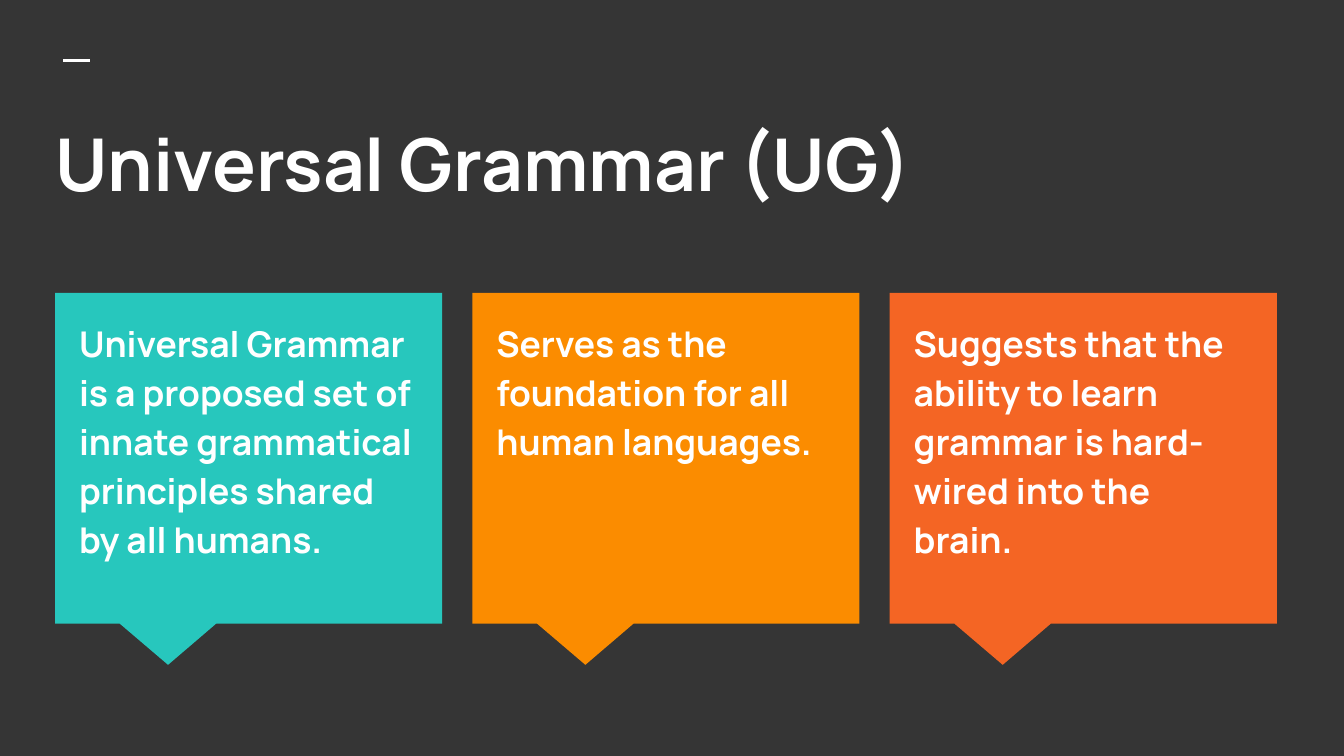
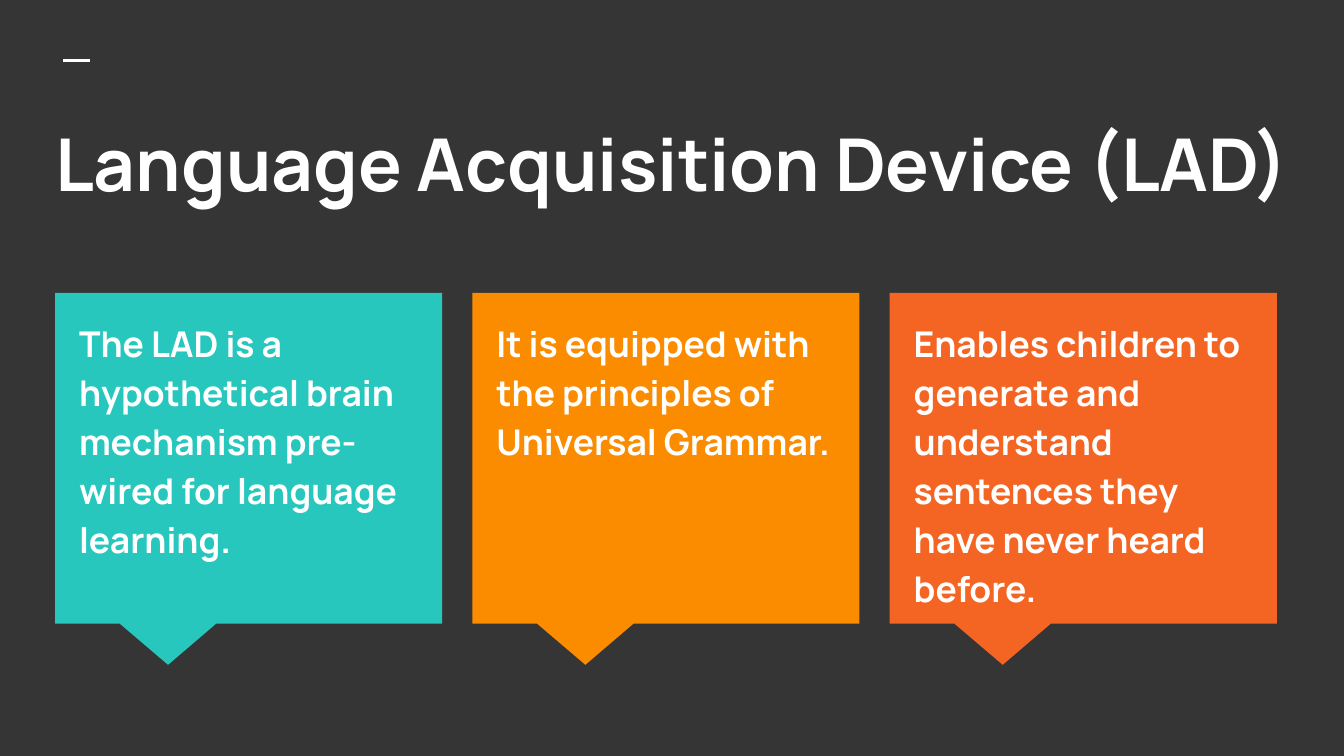
from lxml.etree import SubElement
from pptx import Presentation
from pptx.dml.color import RGBColor
from pptx.enum.shapes import MSO_CONNECTOR as CONN, MSO_SHAPE as SHAPE
from pptx.enum.text import MSO_ANCHOR as ANCHOR, MSO_AUTO_SIZE as FIT, PP_ALIGN as ALIGN
from pptx.oxml.ns import qn
from pptx.util import Inches, Pt

DARK = RGBColor(0x35, 0x35, 0x35)
WHITE = RGBColor(0xFF, 0xFF, 0xFF)
TEAL = RGBColor(0x27, 0xC7, 0xBD)
AMBER = RGBColor(0xFB, 0x8C, 0x00)
ORANGE = RGBColor(0xF4, 0x65, 0x24)
CARD_COLORS = (TEAL, AMBER, ORANGE)

WIDTH, HEIGHT = Inches(10), Inches(10) * 9 // 16
TITLE_BOX = (0.31, 0.78, 9.43, 1.12)
LEFT, RIGHT = 0.41, 9.5
CARD_TOP, CARD_W, CARD_H = 2.18, 2.88, 2.46
PITCH = (RIGHT - LEFT - CARD_W) / (len(CARD_COLORS) - 1)
PAD_X, PAD_Y, TEXT_H = 0.08, 0.07, 2.19
POINTER = (-0.208, 0.625)

FRAME = {"word_wrap": True, "auto_size": FIT.NONE, "vertical_anchor": ANCHOR.TOP}
FRAME.update({f"margin_{side}": Inches(0.1) for side in ("left", "top", "right", "bottom")})
FONT = {"name": "Manrope", "bold": True}
TITLE_PARA = {"alignment": ALIGN.LEFT, "line_spacing": 1.0}
CARD_PARA = {"alignment": ALIGN.LEFT, "line_spacing": 1.15}

SLIDES = (
    ("Universal Grammar (UG)", (
        "Universal Grammar is a proposed set of innate grammatical principles shared by all humans.",
        "Serves as the foundation for all human languages.",
        "Suggests that the ability to learn grammar is hard-wired into the brain.",
    )),
    ("Language Acquisition Device (LAD)", (
        "The LAD is a hypothetical brain mechanism pre-wired for language learning.",
        "It is equipped with the principles of Universal Grammar.",
        "Enables children to generate and understand sentences they have never heard before.",
    )),
)


def apply(target, values):
    """Set each named attribute on the target."""
    for name, value in values.items():
        setattr(target, name, value)


def box(*lengths):
    """Convert inch lengths to slide units."""
    return [Inches(length) for length in lengths]


def write(sp, text, size, para):
    """Fill a shape with one white paragraph in the deck's font."""
    tf = sp.text_frame
    apply(tf, FRAME)
    p = tf.paragraphs[0]
    apply(p, para)
    r = p.add_run()
    r.text = text
    apply(r.font, {**FONT, "size": Pt(size)})
    r.font.color.rgb = WHITE


def add_dash(slide):
    """Draw the short accent line above the title."""
    line = slide.shapes.add_connector(CONN.STRAIGHT, *box(0.47, 0.45, 0.67, 0.45))
    line.line.color.rgb = WHITE
    line.line.width = Pt(1.5)
    SubElement(line._element.spPr, qn("a:effectLst"))


def set_title(slide, text):
    """Place and fill the title placeholder."""
    title = slide.shapes.title
    apply(title, dict(zip(("left", "top", "width", "height"), box(*TITLE_BOX))))
    write(title, text, 39, TITLE_PARA)


def add_callout(slide, column, color):
    """Draw the coloured callout of one column."""
    sp = slide.shapes.add_shape(
        SHAPE.RECTANGULAR_CALLOUT, *box(LEFT + column * PITCH, CARD_TOP, CARD_W, CARD_H))
    sp.adjustments[0], sp.adjustments[1] = POINTER
    sp.shadow.inherit = False
    sp.fill.solid()
    sp.fill.fore_color.rgb = color
    sp.line.fill.background()


def add_card_text(slide, column, text):
    """Lay the text over the callout of one column."""
    sp = slide.shapes.add_textbox(
        *box(LEFT + column * PITCH + PAD_X, CARD_TOP + PAD_Y, CARD_W - 2 * PAD_X, TEXT_H))
    write(sp, text, 19, CARD_PARA)


def add_cards_slide(prs, title, texts):
    """Add one slide with a title and a row of callouts."""
    slide = prs.slides.add_slide(prs.slide_layouts[5])
    add_dash(slide)
    set_title(slide, title)
    for column, (color, text) in enumerate(zip(CARD_COLORS, texts)):
        add_callout(slide, column, color)
        add_card_text(slide, column, text)


def main():
    """Build and save the deck."""
    prs = Presentation()
    prs.slide_width, prs.slide_height = WIDTH, HEIGHT
    fill = prs.slide_master.background.fill
    fill.solid()
    fill.fore_color.rgb = DARK
    for title, texts in SLIDES:
        add_cards_slide(prs, title, texts)
    prs.save("out.pptx")


if __name__ == "__main__":
    main()
